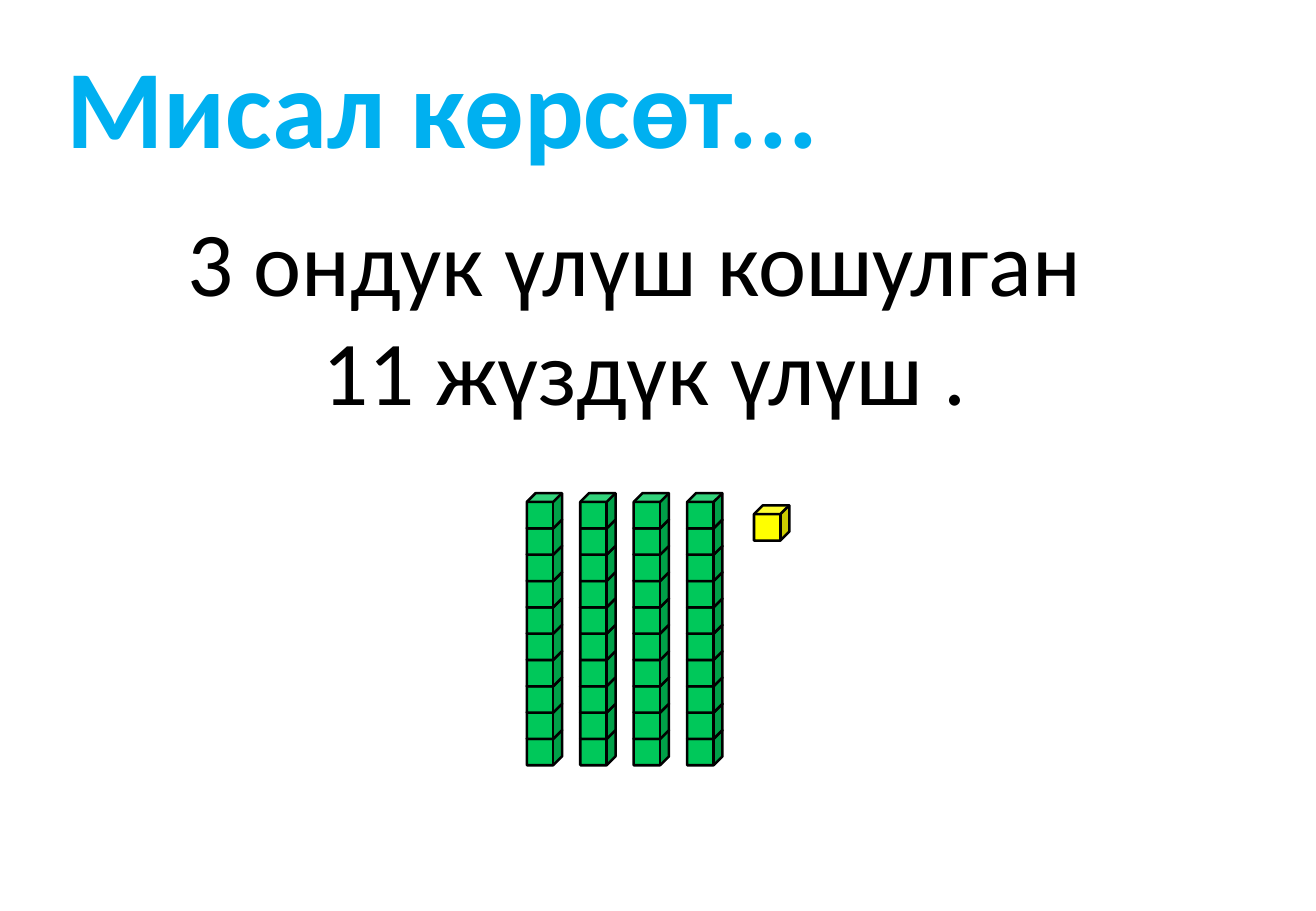
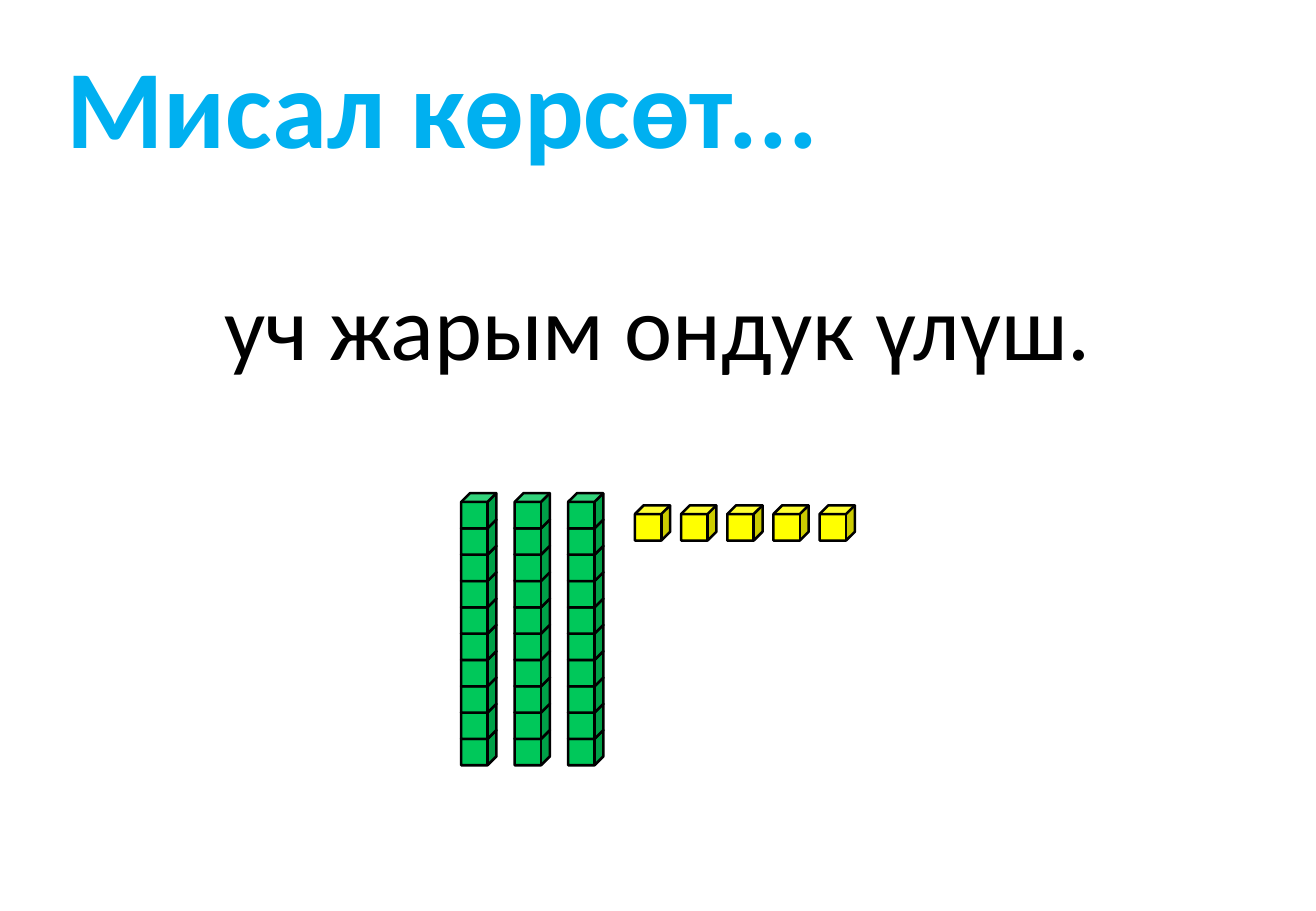
from dataclasses import dataclass

from pptx import Presentation
from pptx.dml.color import RGBColor as RGB
from pptx.enum.shapes import MSO_SHAPE as Shape
from pptx.enum.text import PP_ALIGN as Align
from pptx.util import Inches, Pt


@dataclass(frozen=True)
class Theme:
    font: str = "Calibri"
    title_size: float = 66
    body_size: float = 54
    line_width: float = 1.5
    title: RGB = RGB(0x00, 0xB0, 0xF0)
    ink: RGB = RGB(0x00, 0x00, 0x00)
    rod: RGB = RGB(0x00, 0xC8, 0x5A)
    unit: RGB = RGB(0xFF, 0xFF, 0x00)


@dataclass(frozen=True)
class Box:
    left: float
    top: float
    width: float
    height: float


@dataclass(frozen=True)
class Line:
    text: str
    indent: float = 0


@dataclass(frozen=True)
class Example:
    lines: tuple[Line, ...]
    box: Box
    rods: int
    units: int


THEME = Theme()
SLIDE_W, SLIDE_H = 10.83, 7.5

# Block grid, in inches
CUBE = 0.29
ROD_CUBES = 10
ROD_TOP, ROD_LAST = 4.06, 6.01
ROW_STEP = (ROD_LAST - ROD_TOP) / (ROD_CUBES - 1)
ROD_STEP, UNIT_STEP = 0.44, 0.38
UNIT_TOP, UNIT_GAP = 4.16, 0.11

TITLE = Line("Мисал көрсөт...", indent=0.21)
TITLE_BOX = Box(0.24, 0.26, 7.54, 1.21)

EXAMPLES = (
    Example((Line("3 ондук үлүш кошулган"), Line("11 жүздүк үлүш .", indent=0.17)),
            Box(1.39, 1.64, 7.66, 1.92), rods=4, units=1),
    Example((Line("уч жарым ондук үлүш."),),
            Box(1.7, 2.17, 7.43, 1.01), rods=3, units=5),
)


def add_text(s, box: Box, lines: tuple[Line, ...], *, size: float, color: RGB,
             bold: bool = False, align: Align = Align.LEFT, wrap: bool = True) -> None:
    sp = s.shapes.add_textbox(*map(Inches, (box.left, box.top, box.width, box.height)))
    tf = sp.text_frame
    tf.word_wrap = wrap
    for i, line in enumerate(lines):
        p = tf.paragraphs[0] if i == 0 else tf.add_paragraph()
        p.alignment = align
        if line.indent:
            p._p.get_or_add_pPr().set("marL", str(Inches(line.indent)))
        r = p.add_run()
        r.text = line.text
        r.font.name, r.font.size, r.font.bold = THEME.font, Pt(size), bold
        r.font.color.rgb = color


def add_cube(shapes, left: float, top: float, fill: RGB) -> None:
    sp = shapes.add_shape(Shape.CUBE, *map(Inches, (left, top, CUBE, CUBE)))
    sp.shadow.inherit = False
    sp.fill.solid()
    sp.fill.fore_color.rgb = fill
    sp.line.color.rgb = THEME.ink
    sp.line.width = Pt(THEME.line_width)


def add_blocks(s, rods: int, units: int) -> None:
    """Centre a row of ten-cube rods followed by single units."""
    units_offset = rods * ROD_STEP + UNIT_GAP
    width = units_offset + (units - 1) * UNIT_STEP + CUBE
    left = (SLIDE_W - width) / 2

    # Rods are stacked from the bottom so each cube covers the one below
    for col in range(rods):
        rod = s.shapes.add_group_shape()
        for row in reversed(range(ROD_CUBES)):
            add_cube(rod.shapes, left + col * ROD_STEP, ROD_TOP + row * ROW_STEP, THEME.rod)

    # Single units
    for col in range(units):
        add_cube(s.shapes, left + units_offset + col * UNIT_STEP, UNIT_TOP, THEME.unit)


def add_example(prs, example: Example) -> None:
    s = prs.slides.add_slide(prs.slide_layouts[6])
    add_text(s, example.box, example.lines, size=THEME.body_size, color=THEME.ink,
             align=Align.CENTER, wrap=False)
    add_blocks(s, example.rods, example.units)
    add_text(s, TITLE_BOX, (TITLE,), size=THEME.title_size, color=THEME.title, bold=True)


def main() -> None:
    prs = Presentation()
    prs.slide_width, prs.slide_height = Inches(SLIDE_W), Inches(SLIDE_H)
    for example in EXAMPLES:
        add_example(prs, example)
    prs.save("out.pptx")


if __name__ == "__main__":
    main()
